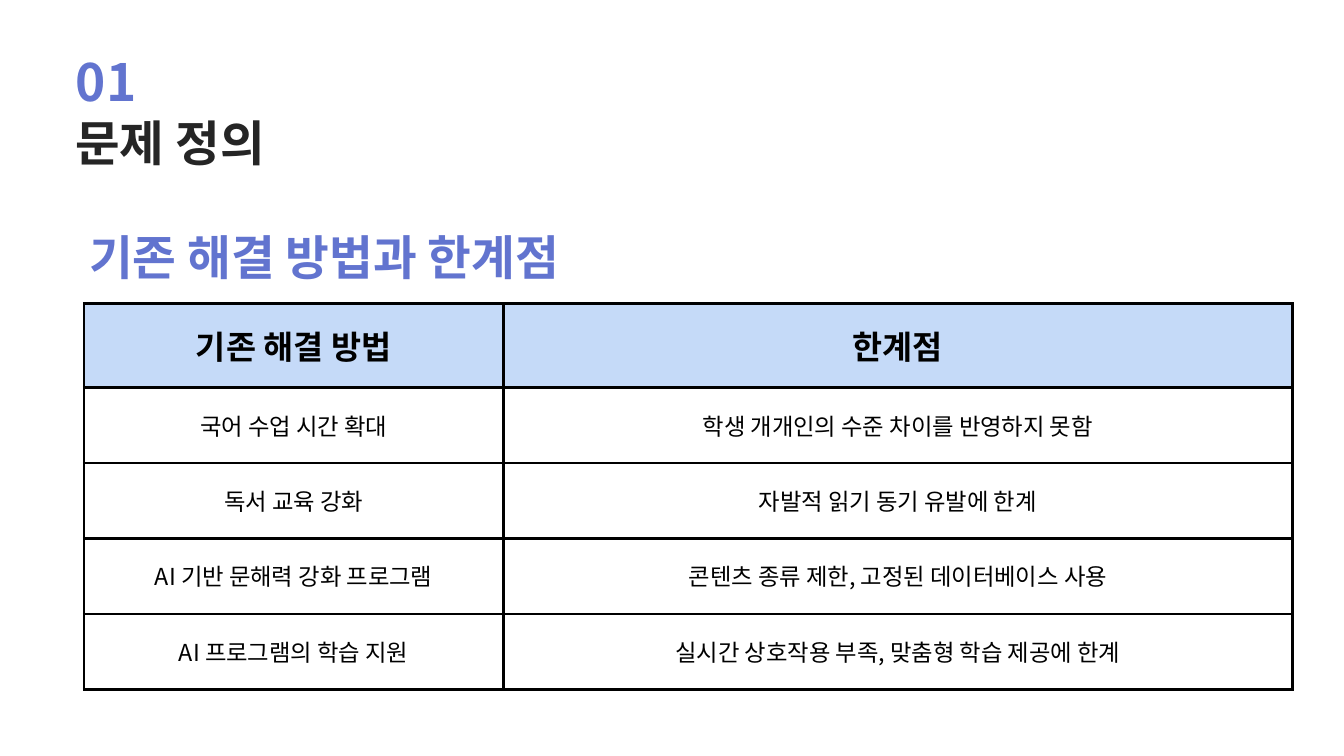
from dataclasses import dataclass

from lxml import etree
from pptx import Presentation
from pptx import util as u
from pptx.dml import color
from pptx.enum import text as t
from pptx.oxml import ns

FONT = "Noto Sans CJK KR"
INDIGO = "6274CF"
BLACK = "000000"
HEADER_FILL = "C5DAF8"


@dataclass(frozen=True)
class Style:
    size: float
    leading: float
    ink: str = BLACK
    bold: bool = True
    align: t.PP_ALIGN = t.PP_ALIGN.CENTER
    spacing: float = 0


@dataclass(frozen=True)
class Heading:
    words: str
    left: float
    top: float
    width: float
    height: float
    style: Style


HEADINGS = [
    Heading("기존 해결 방법과 한계점", 29.5, 241.9, 635.8, 61.9, Style(51, 63.7, INDIGO)),
    Heading("01", 80.6, 9.4, 110.2, 99.4,
            Style(55, 110, INDIGO, align=t.PP_ALIGN.LEFT, spacing=1.3)),
    Heading("문제 정의", 80.6, 79.9, 417.6, 93.6,
            Style(52, 104, "252525", align=t.PP_ALIGN.LEFT)),
]
HEADER_STYLE = Style(35, 49)
BODY_STYLE = Style(25, 35, bold=False)
ROWS = [
    ("기존 해결 방법", "한계점"),
    ("국어 수업 시간 확대", "학생 개개인의 수준 차이를 반영하지 못함"),
    ("독서 교육 강화", "자발적 읽기 동기 유발에 한계"),
    ("AI 기반 문해력 강화 프로그램", "콘텐츠 종류 제한, 고정된 데이터베이스 사용"),
    ("AI 프로그램의 학습 지원", "실시간 상호작용 부족, 맞춤형 학습 제공에 한계"),
]
COLUMN_WIDTHS = (449.3, 845.3)
HEADER_HEIGHT = 90
BODY_HEIGHT = 80.8


def rgb(value: str) -> color.RGBColor:
    return color.RGBColor.from_string(value)


def write(frame, words: str, style: Style) -> None:
    frame.text = words
    para = frame.paragraphs[0]
    para.alignment = style.align
    para.line_spacing = u.Pt(style.leading)
    span = para.runs[0]
    span.font.name = FONT
    span.font.size = u.Pt(style.size)
    span.font.bold = style.bold
    span.font.color.rgb = rgb(style.ink)
    properties = span.font._element
    etree.SubElement(properties, ns.qn("a:ea"), typeface=FONT)
    if style.spacing:
        properties.set("spc", str(round(style.spacing * 100)))


def add_heading(page, heading: Heading) -> None:
    box = page.shapes.add_textbox(u.Pt(heading.left), u.Pt(heading.top),
                                  u.Pt(heading.width), u.Pt(heading.height))
    frame = box.text_frame
    frame.margin_left = frame.margin_right = 0
    frame.margin_top = frame.margin_bottom = 0
    frame.word_wrap = True
    frame.auto_size = t.MSO_AUTO_SIZE.SHAPE_TO_FIT_TEXT
    write(frame, heading.words, heading.style)


def add_borders(cell, ink: str, width: float) -> None:
    properties = cell._tc.get_or_add_tcPr()
    for side in ("lnL", "lnR", "lnT", "lnB"):
        line = etree.SubElement(properties, ns.qn(f"a:{side}"), w=str(u.Pt(width)))
        fill = etree.SubElement(line, ns.qn("a:solidFill"))
        etree.SubElement(fill, ns.qn("a:srgbClr"), val=ink)


def fill_cell(cell, words: str, is_header: bool) -> None:
    cell.margin_left = cell.margin_right = u.Pt(15)
    cell.margin_top = cell.margin_bottom = u.Pt(15)
    cell.vertical_anchor = t.MSO_ANCHOR.MIDDLE
    write(cell.text_frame, words, HEADER_STYLE if is_header else BODY_STYLE)
    add_borders(cell, BLACK, 3)
    if is_header:
        cell.fill.solid()
        cell.fill.fore_color.rgb = rgb(HEADER_FILL)
    else:
        cell.fill.background()


def add_comparison(page, left: float, top: float) -> None:
    heights = [HEADER_HEIGHT] + [BODY_HEIGHT] * (len(ROWS) - 1)
    table = page.shapes.add_table(
        len(ROWS), len(COLUMN_WIDTHS), u.Pt(left), u.Pt(top),
        u.Pt(sum(COLUMN_WIDTHS)), u.Pt(sum(heights))).table
    table.horz_banding = False
    for column, width in zip(table.columns, COLUMN_WIDTHS):
        column.width = u.Pt(width)
    for index, (row, height, entries) in enumerate(zip(table.rows, heights, ROWS)):
        row.height = u.Pt(height)
        for cell, words in zip(row.cells, entries):
            fill_cell(cell, words, index == 0)


def main() -> None:
    deck = Presentation()
    deck.slide_width = u.Pt(1440)
    deck.slide_height = u.Pt(810)
    page = deck.slides.add_slide(deck.slide_layouts[6])
    add_comparison(page, 90, 325.4)
    for heading in HEADINGS:
        add_heading(page, heading)
    deck.save("out.pptx")


if __name__ == "__main__":
    main()
